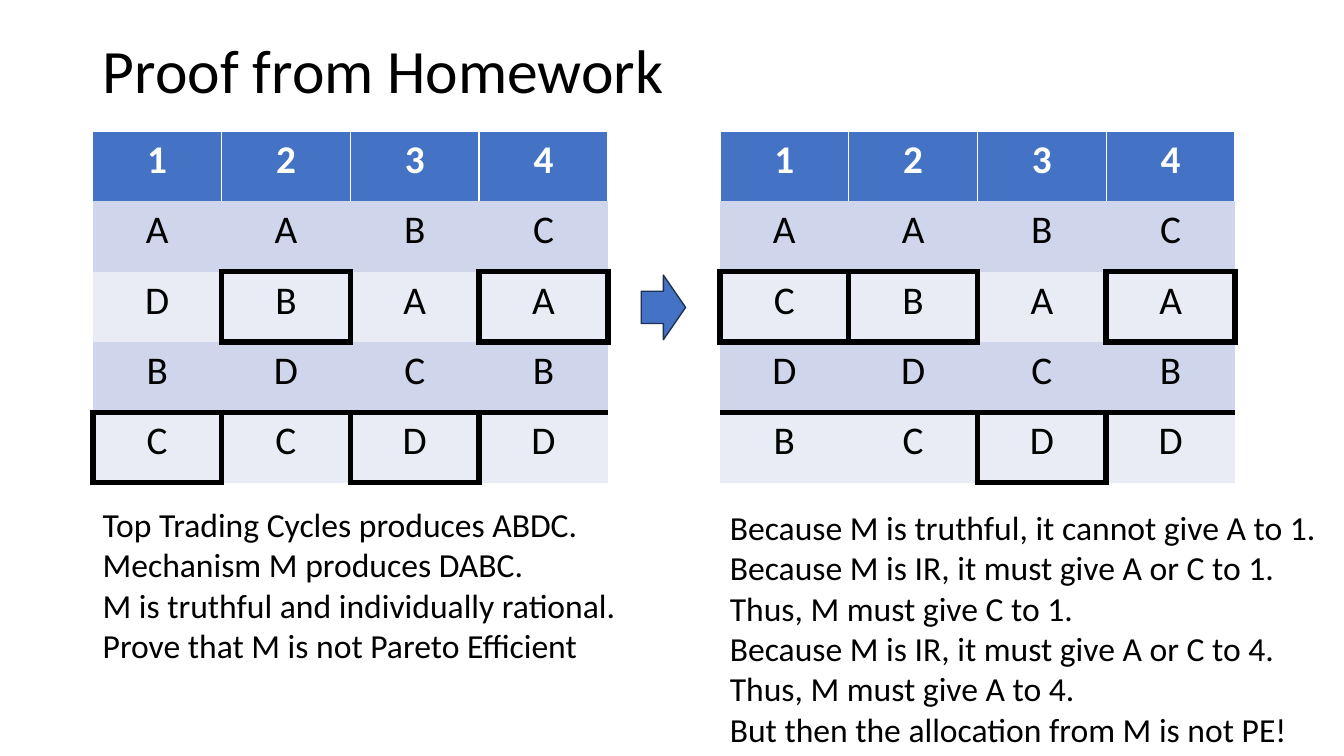
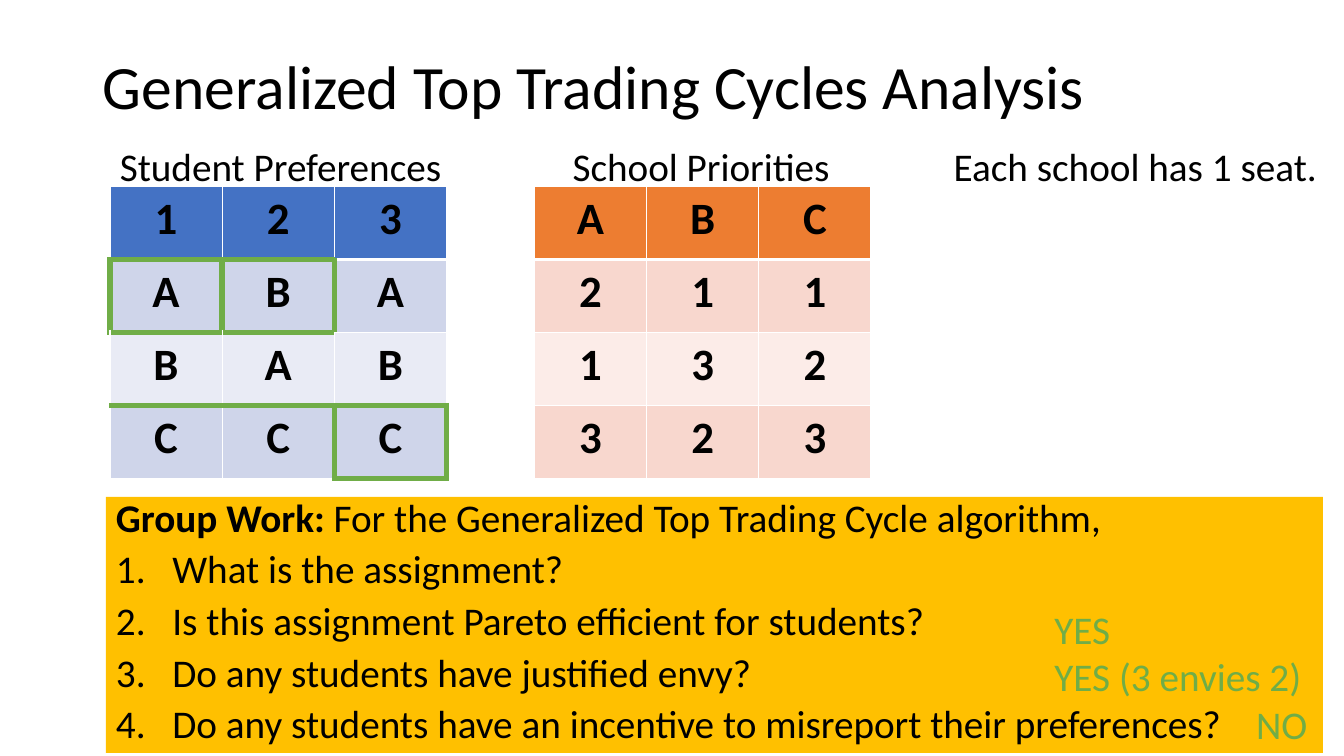
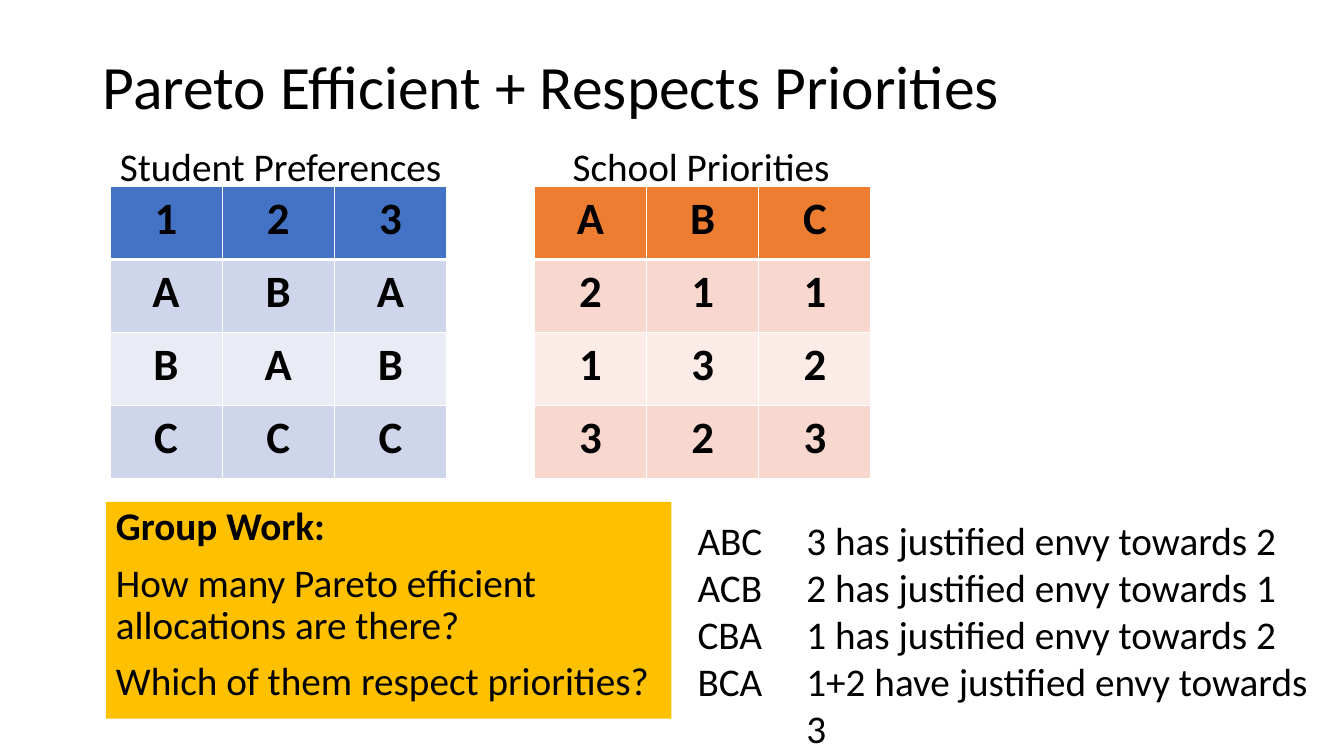
from dataclasses import dataclass

from lxml import etree
from pptx import Presentation
from pptx import util as u
from pptx.dml.color import RGBColor
from pptx.enum import shapes, text
from pptx.oxml import ns


@dataclass(frozen=True)
class Theme:
    font: str = "Calibri"
    black: str = "000000"
    white: str = "FFFFFF"
    blue: str = "4472C4"
    navy: str = "1E3256"
    green: str = "70AD47"
    gold: str = "FFC000"
    blues: tuple = ("4472C4", "CFD5EA", "E9EBF5")
    reds: tuple = ("ED7D31", "F8D7CE", "FCECE8")
    title: int = 44
    cell: int = 32
    body: int = 28
    note: int = 24
    thin: float = 1
    rule: float = 3
    thick: float = 4.5


PLAIN = "{2D5ABB26-0587-4C30-8999-92F81FD0307C}"
SIDES = {"L": (0, -1), "R": (0, 1), "T": (-1, 0), "B": (1, 0)}


def edge(cell, side):
    """Name a border by the two cells that share it."""
    down, right = SIDES[side]
    return frozenset({cell, (cell[0] + down, cell[1] + right)})


class Deck:
    def __init__(self, theme):
        self.t = theme
        self.prs = Presentation()
        self.prs.slide_width = u.Inches(13.33)
        self.prs.slide_height = u.Inches(7.5)
        self.slide = None

    def place(self, shape, box):
        shape.left, shape.top, shape.width, shape.height = map(u.Inches, box)

    def fill(self, item, color):
        item.fill.solid()
        item.fill.fore_color.rgb = RGBColor.from_string(color)

    def run(self, para, words, size, color=None, bold=False):
        run = para.add_run()
        run.text = words
        font = run.font
        font.name, font.size, font.bold = self.t.font, u.Pt(size), bold
        font.color.rgb = RGBColor.from_string(color or self.t.black)

    def paras(self, frame, count):
        """Yield the first paragraph, then new ones."""
        for i in range(count):
            yield frame.add_paragraph() if i else frame.paragraphs[0]

    def page(self, title, top, layout):
        self.slide = self.prs.slides.add_slide(self.prs.slide_layouts[layout])
        head = self.slide.shapes.title
        self.place(head, (0.92, top, 11.5, 1.45))
        frame = head.text_frame
        frame.auto_size = text.MSO_AUTO_SIZE.NONE
        frame.vertical_anchor = text.MSO_ANCHOR.MIDDLE
        para = frame.paragraphs[0]
        para.alignment = text.PP_ALIGN.LEFT
        para.line_spacing = 0.9
        self.run(para, title, self.t.title)

    def task(self, box, items, spacing):
        """Fill the body; an item is (numbered, [(words, bold), ...])."""
        body = self.slide.placeholders[1]
        self.place(body, box)
        self.fill(body, self.t.gold)
        frame = body.text_frame
        frame.auto_size = text.MSO_AUTO_SIZE.NONE
        for i, para in enumerate(self.paras(frame, len(items))):
            listed, runs = items[i]
            props = para._p.get_or_add_pPr()
            left = u.Inches(0.56) if listed else 0
            props.set("marL", str(left))
            props.set("indent", str(-left))
            if listed:
                etree.SubElement(props, ns.qn("a:buAutoNum"), type="arabicPeriod")
            else:
                etree.SubElement(props, ns.qn("a:buNone"))
            para.alignment = text.PP_ALIGN.LEFT
            para.line_spacing = spacing
            para.space_before = u.Pt(10 if i else 0)
            for words, bold in runs:
                self.run(para, words, self.t.body, bold=bold)

    def note(self, box, lines, size, color=None, wrap=False):
        frame = self.slide.shapes.add_textbox(*map(u.Inches, box)).text_frame
        frame.word_wrap = wrap
        frame.auto_size = text.MSO_AUTO_SIZE.SHAPE_TO_FIT_TEXT
        for para, words in zip(self.paras(frame, len(lines)), lines):
            self.run(para, words, size, color)
        return frame

    def arrow(self, box):
        shape = self.slide.shapes.add_shape(
            shapes.MSO_SHAPE.RIGHT_ARROW, *map(u.Inches, box))
        shape.shadow.inherit = False
        self.fill(shape, self.t.blue)
        shape.line.color.rgb = RGBColor.from_string(self.t.navy)
        shape.line.width = u.Pt(self.t.thin)

    def border(self, cell, side, color, width):
        props = cell._tc.get_or_add_tcPr()
        line = etree.SubElement(props, ns.qn("a:ln" + side), w=str(u.Pt(width)))
        solid = etree.SubElement(line, ns.qn("a:solidFill"))
        etree.SubElement(solid, ns.qn("a:srgbClr"), val=color)

    def table(self, box, rows, fills, size, ink, bold, grid, mark, thick=()):
        """Draw rows of letters; thick holds the edges in the mark colour."""
        frame = self.slide.shapes.add_table(
            len(rows), len(rows[0]), *map(u.Inches, box))
        frame.element.find(".//" + ns.qn("a:tableStyleId")).text = PLAIN
        for r, row in enumerate(rows):
            for c, words in enumerate(row):
                cell = frame.table.cell(r, c)
                for side in SIDES:
                    if edge((r, c), side) in thick:
                        self.border(cell, side, mark, self.t.thick)
                    elif grid and (r, side) in ((0, "B"), (1, "T")):
                        self.border(cell, side, self.t.white, self.t.rule)
                    elif grid or (r == 0 and side != "B"):
                        self.border(cell, side, self.t.white, self.t.thin)
                self.fill(cell, fills[0 if r == 0 else 2 - r % 2])
                para = cell.text_frame.paragraphs[0]
                para.alignment = text.PP_ALIGN.CENTER
                self.run(para, words, size, self.t.black if r else ink,
                         bold or r == 0)

    def ranks(self, left, rows, picks):
        """Draw a four-agent table with the allocation boxed."""
        self.table((left, 1.3, 5.11, 3.49), rows, self.t.blues, self.t.body,
                   self.t.white, False, False, self.t.black, around(picks))

    def match(self, thick=()):
        """Draw the student and school tables with their captions."""
        t = self.t
        for left, rows, fills, lines in (
                (1.09, ["123", "ABA", "BAB", "CCC"], t.blues, thick),
                (5.3, ["ABC", "211", "132", "323"], t.reds, ())):
            self.table((left, 1.85, 3.34, 2.9), rows, fills, t.cell,
                       t.black, True, True, t.green, lines)
        self.note((1.09, 1.36, 3.42, 0.57), ["Student Preferences"], t.body)
        self.note((5.58, 1.36, 2.78, 0.57), ["School Priorities"], t.body)


def around(cells):
    """Collect all edges of the given cells."""
    return {edge(cell, side) for cell in cells for side in SIDES}


def proof(deck):
    t = deck.t
    deck.page("Proof from Homework", 0, 5)
    deck.ranks(0.92, ["1234", "AABC", "DBAA", "BDCB", "CCDD"],
               [(4, 0), (2, 1), (4, 2), (2, 3)])
    deck.note((0.92, 4.95, 5.34, 1.72), [
        "Top Trading Cycles produces ABDC.",
        "Mechanism M produces DABC.",
        "M is truthful and individually rational.",
        "Prove that M is not Pareto Efficient"], t.note)
    deck.ranks(7.14, ["1234", "AABC", "CBAA", "DDCB", "BCDD"],
               [(2, 0), (2, 1), (4, 2), (2, 3)])
    deck.arrow((6.36, 2.73, 0.44, 0.64))
    deck.note((7.14, 4.98, 6.06, 2.52), [
        "Because M is truthful, it cannot give A to 1.",
        "Because M is IR, it must give A or C to 1.",
        "Thus, M must give C to 1.",
        "Because M is IR, it must give A or C to 4.",
        "Thus, M must give A to 4.",
        "But then the allocation from M is not PE!"], t.note)


def cycles(deck):
    t = deck.t
    deck.page("Generalized Top Trading Cycles Analysis", 0.16, 1)
    asks = ["What is the assignment?",
            "Is this assignment Pareto efficient for students?",
            "Do any students have justified envy?",
            "Do any students have an incentive to misreport their preferences?"]
    lead = [("Group Work: ", True),
            ("For the Generalized Top Trading Cycle algorithm,", False)]
    deck.task((1.05, 4.93, 12.07, 2.54),
              [(False, lead)] + [(True, [(ask, False)]) for ask in asks], 0.8)
    lines = {edge((3, c), "T") for c in (0, 1)}
    deck.match(around([(1, 0), (1, 1), (3, 2)]) | lines)
    frame = deck.note((10.36, 5.96, 2.97, 1.51),
                      ["YES", "YES (3 envies 2)", "NO"],
                      t.body, t.green, wrap=True)
    frame.paragraphs[2]._p.get_or_add_pPr().set("marL", str(u.Inches(2)))
    deck.note((9.36, 1.36, 3.85, 0.57), ["Each school has 1 seat."], t.body)


def fair(deck):
    t = deck.t
    deck.page("Pareto Efficient + Respects Priorities", 0.16, 1)
    deck.task((1.05, 4.98, 5.61, 2.15), [
        (False, [("Group Work:", True)]),
        (False, [("How many Pareto efficient allocations are there?", False)]),
        (False, [("Which of them respect priorities?", False)])], 0.9)
    deck.match()
    deck.note((6.82, 5.07, 0.93, 1.99), ["ABC", "ACB", "CBA", "BCA"],
              t.body, wrap=True)
    deck.note((7.9, 5.07, 5.43, 1.99), [
        "3 has justified envy towards 2",
        "2 has justified envy towards 1",
        "1 has justified envy towards 2",
        "1+2 have justified envy towards 3"], t.body)


def main():
    deck = Deck(Theme())
    for draw in (proof, cycles, fair):
        draw(deck)
    deck.prs.save("out.pptx")


if __name__ == "__main__":
    main()
